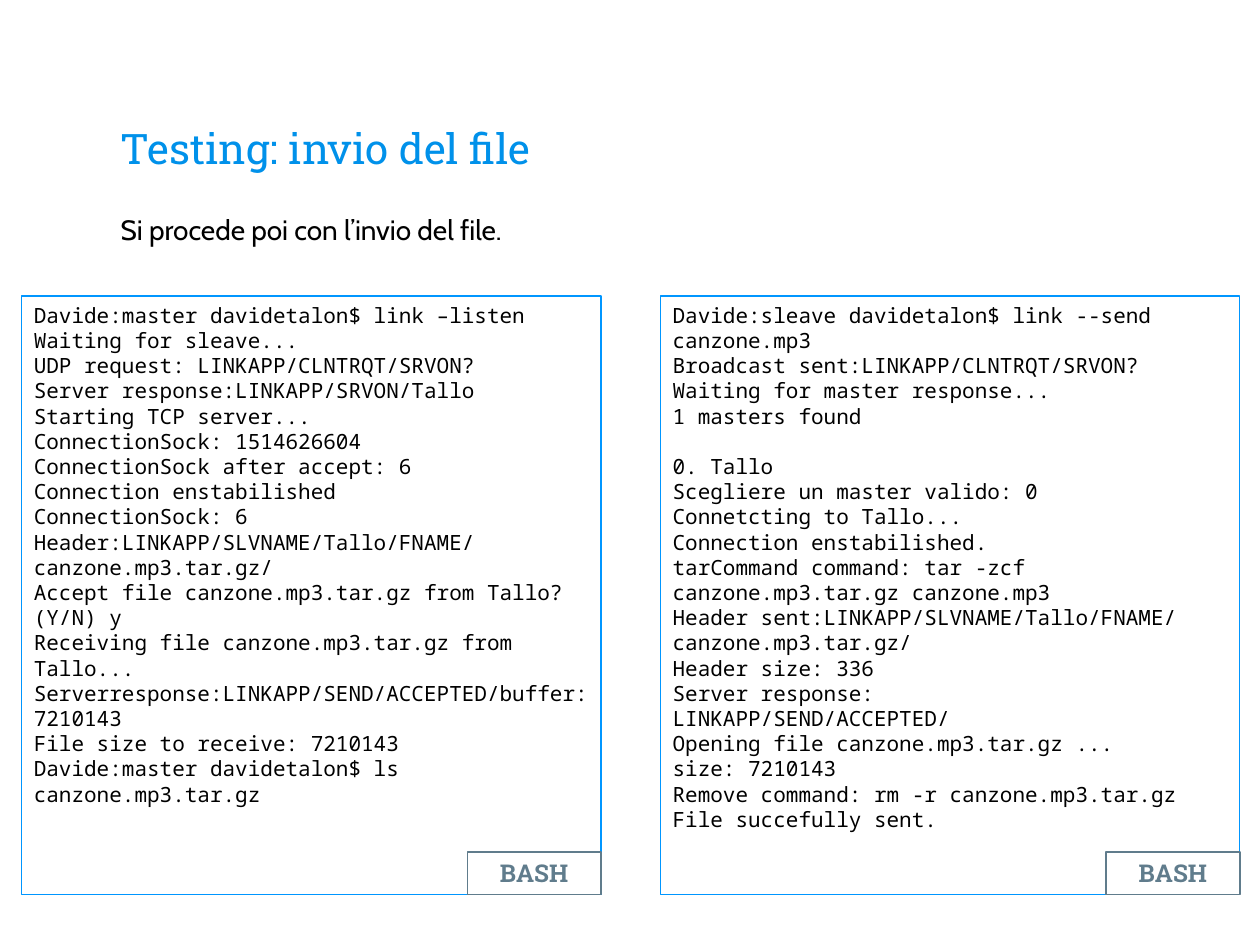
from pptx import Presentation
from pptx.dml.color import RGBColor
from pptx.enum.shapes import MSO_SHAPE
from pptx.enum.text import MSO_ANCHOR, PP_ALIGN
from pptx.util import Inches, Pt

BLACK = RGBColor(0x00, 0x00, 0x00)
TITLE_BLUE = RGBColor(0x00, 0x91, 0xEA)
FRAME_BLUE = RGBColor(0x00, 0x96, 0xFF)
SLATE = RGBColor(0x60, 0x7C, 0x8C)

PANEL_TOP, PANEL_W, PANEL_H = 2.35, 4.6, 4.75
TAG_W, TAG_H = 1.06, 0.34

MASTER_OUTPUT = """Davide:master davidetalon$ link –listen
Waiting for sleave...
UDP request: LINKAPP/CLNTRQT/SRVON?
Server response:LINKAPP/SRVON/Tallo
Starting TCP server...
ConnectionSock: 1514626604
ConnectionSock after accept: 6
Connection enstabilished
ConnectionSock: 6
Header:LINKAPP/SLVNAME/Tallo/FNAME/canzone.mp3.tar.gz/
Accept file canzone.mp3.tar.gz from Tallo? (Y/N) y
Receiving file canzone.mp3.tar.gz from Tallo...
Serverresponse:LINKAPP/SEND/ACCEPTED/buffer: 7210143
File size to receive: 7210143
Davide:master davidetalon$ ls canzone.mp3.tar.gz"""

SLEAVE_OUTPUT = """Davide:sleave davidetalon$ link --send canzone.mp3
Broadcast sent:LINKAPP/CLNTRQT/SRVON?
Waiting for master response...
1 masters found
0. Tallo
Scegliere un master valido: 0
Connetcting to Tallo...
Connection enstabilished.
tarCommand command: tar -zcf canzone.mp3.tar.gz canzone.mp3
Header sent:LINKAPP/SLVNAME/Tallo/FNAME/
canzone.mp3.tar.gz/
Header size: 336
Server response:
LINKAPP/SEND/ACCEPTED/
Opening file canzone.mp3.tar.gz ...
size: 7210143
Remove command: rm -r canzone.mp3.tar.gz
File succefully sent."""


class SlideBuilder:
    heading_font = "Roboto Slab"
    body_font = "Cabin"
    code_font = "Noto Sans Mono"

    def __init__(self, slide):
        self.slide = slide

    def set_text(self, sp, text, font, size, color, bold=False,
                 align=PP_ALIGN.LEFT, anchor=MSO_ANCHOR.TOP):
        tf = sp.text_frame
        tf.word_wrap = True
        tf.vertical_anchor = anchor
        tf.text = text
        for p in tf.paragraphs:
            p.alignment = align
            for r in p.runs:
                r.font.name = font
                r.font.size = Pt(size)
                r.font.bold = bold
                r.font.color.rgb = color
        return tf

    def text(self, box, text, font, size, color, anchor=MSO_ANCHOR.TOP):
        sp = self.slide.shapes.add_textbox(*map(Inches, box))
        return self.set_text(sp, text, font, size, color, anchor=anchor)

    def title(self, box, text):
        tf = self.text(box, text, self.heading_font, 24, TITLE_BLUE,
                       MSO_ANCHOR.BOTTOM)
        tf.margin_top = tf.margin_bottom = Inches(0.1)

    def frame(self, box, color, width):
        sp = self.slide.shapes.add_shape(MSO_SHAPE.RECTANGLE, *map(Inches, box))
        sp.shadow.inherit = False
        sp.fill.background()
        sp.line.color.rgb = color
        sp.line.width = Pt(width)
        return sp

    def terminal(self, left, output, tag):
        panel = self.frame((left, PANEL_TOP, PANEL_W, PANEL_H), FRAME_BLUE, 0.75)
        tf = self.set_text(panel, output, self.code_font, 12, BLACK)
        corner = (left + PANEL_W - TAG_W, PANEL_TOP + PANEL_H - TAG_H)
        label = self.frame((*corner, TAG_W, TAG_H), SLATE, 1)
        self.set_text(label, tag, self.heading_font, 14, SLATE, True,
                      PP_ALIGN.CENTER)
        return tf


def main():
    prs = Presentation()
    prs.slide_width, prs.slide_height = Inches(10), Inches(7.5)
    s = SlideBuilder(prs.slides.add_slide(prs.slide_layouts[6]))

    s.title((0.86, 0.45, 8.28, 1.02), "Testing: invio del file")
    s.terminal(0.17, MASTER_OUTPUT, "BASH")
    sleave = s.terminal(5.24, SLEAVE_OUTPUT, "BASH")
    master_choice = sleave.paragraphs[4]
    master_choice.space_before = Pt(14.4)
    s.text((0.86, 1.64, 7.11, 0.37), "Si procede poi con l’invio del file.",
           s.body_font, 16, BLACK)

    prs.save("out.pptx")


if __name__ == "__main__":
    main()
